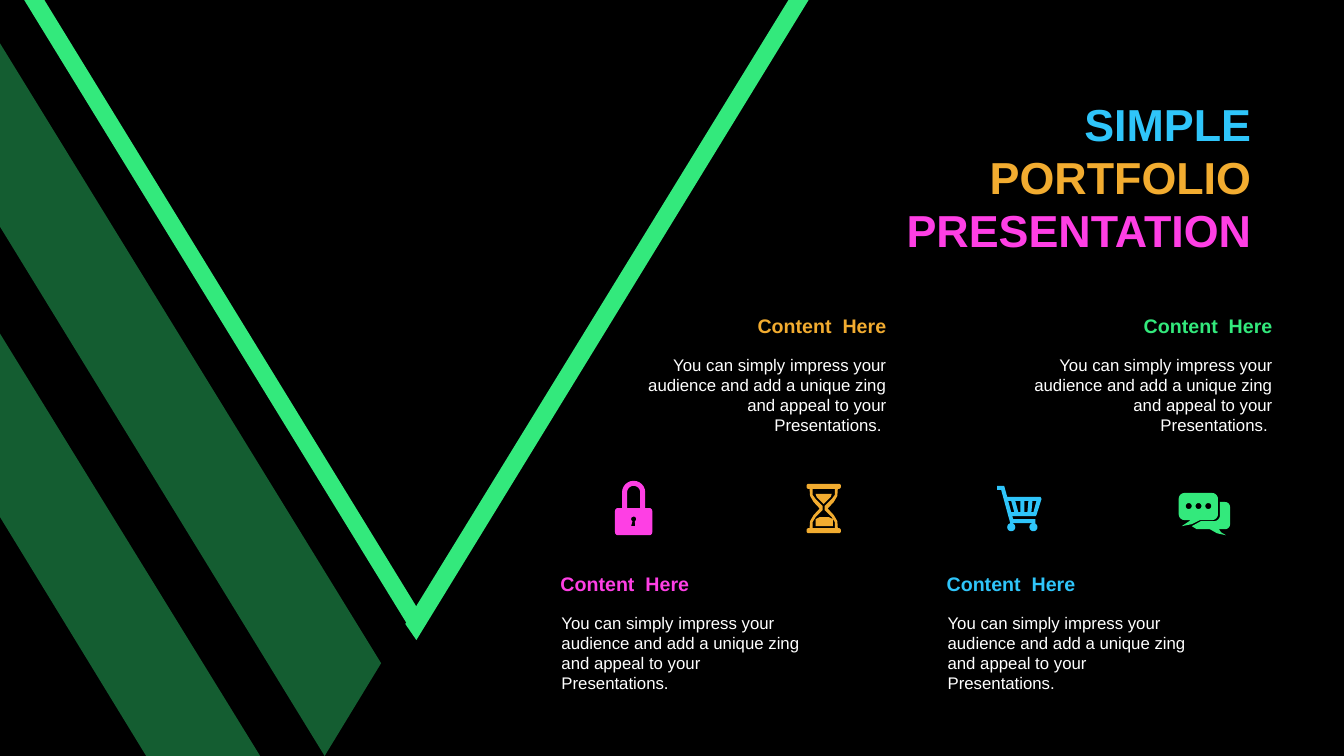
import math

import lxml.etree
import pptx
import pptx.dml.color
import pptx.enum.text
import pptx.oxml.ns
import pptx.util

Inches = pptx.util.Inches
PP_ALIGN = pptx.enum.text.PP_ALIGN
GREEN, BLUE, ORANGE, PINK, WHITE = "33E97C", "2FC5FA", "F2AC30", "FE3FE4", "FFFFFF"
BODY = "You can simply impress your audience and add a unique zing and appeal to your Presentations."


def rgb(color):
    """Turn a hex string into a colour."""
    return pptx.dml.color.RGBColor.from_string(color)


def arc(x, y, r, start, end):
    """List points on an arc; angles in degrees, clockwise from the right."""
    steps = max(4, abs(end - start) // 15)
    angles = [math.radians(start + (end - start) * i / steps) for i in range(steps + 1)]
    return [(x + r * math.cos(a), y + r * math.sin(a)) for a in angles]


def rounded(left, top, width, height, r, tail=()):
    """List points of a rounded rectangle, with an optional tail at its bottom."""
    x1, x2, y1, y2 = left + r, left + width - r, top + r, top + height - r
    return (arc(x1, y1, r, 180, 270) + arc(x2, y1, r, 270, 360)
            + arc(x2, y2, r, 0, 90) + list(tail) + arc(x1, y2, r, 90, 180))


def add_outline(s, contours, color, opacity=100):
    """Draw closed contours as one filled freeform."""
    fb = None
    for contour in contours:
        points = [(Inches(x), Inches(y)) for x, y in contour]
        if fb is None:
            fb = s.shapes.build_freeform(*points[0])
        else:
            fb.move_to(*points[0])
        fb.add_line_segments(points[1:], close=True)
    sp = fb.convert_to_shape()
    sp.shadow.inherit = False
    sp.line.fill.background()
    sp.fill.solid()
    sp.fill.fore_color.rgb = rgb(color)
    if opacity < 100:
        qn = pptx.oxml.ns.qn
        clr = sp._element.spPr.find(".//" + qn("a:srgbClr"))
        lxml.etree.SubElement(clr, qn("a:alpha")).set("val", str(opacity * 1000))


def add_text(shapes, box, text, size, color, align, bold=False, middle=False):
    """Add a wrapped one-paragraph text box and return its frame."""
    tf = shapes.add_textbox(*map(Inches, box)).text_frame
    tf.text = text
    tf.word_wrap = True
    if middle:
        tf.vertical_anchor = pptx.enum.text.MSO_ANCHOR.MIDDLE
    p = tf.paragraphs[0]
    p.alignment = align
    font = p.runs[0].font
    font.name, font.size, font.bold = "Arial", pptx.util.Pt(size), bold
    font.color.rgb = rgb(color)
    return tf


def add_title_line(s, row, text, left, color):
    """Add one right-aligned line of the title."""
    box = (left, 0.97 + 0.525 * row, 12.51 - left, 0.51)
    tf = add_text(s.shapes, box, text, 32, color, PP_ALIGN.RIGHT, True, True)
    tf.margin_left = 0


def add_content(s, left, top, color, align):
    """Add a grouped heading and body text."""
    group = s.shapes.add_group_shape()
    body = BODY + " " if align == PP_ALIGN.RIGHT else BODY
    heading = add_text(group.shapes, (left, top, 2.62, 0.34), "Content  Here", 14,
                       color, align, True, True)
    text = add_text(group.shapes, (left + 0.01, top + 0.405, 2.61, 0.91), body, 12, WHITE, align)
    for tf in (heading, text):
        tf.auto_size = pptx.enum.text.MSO_AUTO_SIZE.SHAPE_TO_FIT_TEXT


def add_bands(s):
    """Draw the bright V and the two dark bands."""
    add_outline(s, [[(7.82, 0), (8.02, 0), (4.13, 6.35), (4.02, 6.19)]], GREEN)
    add_outline(s, [[(0.24, 0), (0.44, 0), (4.18, 6.1), (4.08, 6.26)]], GREEN)
    add_outline(s, [[(0, 3.31), (2.58, 7.5), (1.45, 7.5), (0, 5.13)],
                    [(0, 0.43), (3.78, 6.58), (3.22, 7.5), (0, 2.25)]], GREEN, 40)


def add_lock(s):
    """Draw the padlock icon."""
    x, y = 6.285, 4.885
    shackle = (arc(x, y, 0.115, 180, 360) + [(6.4, 5.04), (6.35, 5.04)]
               + arc(x, y, 0.065, 360, 180) + [(6.22, 5.04), (6.17, 5.04)])
    keyhole = arc(x, 5.15, 0.025, 120, 420) + [(6.3, 5.22), (6.26, 5.22)]
    add_outline(s, [shackle, rounded(6.1, 5.04, 0.37, 0.27, 0.03), keyhole], PINK)


def add_hourglass(s):
    """Draw the hourglass icon."""
    wall = [(8.31, 4.85), (8.305, 4.92), (8.27, 4.98), (8.21, 5.045), (8.27, 5.11),
            (8.305, 5.17), (8.31, 5.24), (8.28, 5.24), (8.28, 5.18), (8.25, 5.13),
            (8.18, 5.06), (8.18, 5.02), (8.25, 4.95), (8.28, 4.91), (8.28, 4.85)]
    mirrored = [(2 * 8.17 - x, y) for x, y in wall]
    upper_sand = [(8.09, 4.9), (8.25, 4.9), (8.24, 4.93), (8.17, 5), (8.1, 4.93)]
    lower_sand = [(8.09, 5.15), (8.13, 5.13), (8.22, 5.13), (8.26, 5.15),
                  (8.26, 5.22), (8.09, 5.22)]
    caps = [rounded(8, top, 0.34, 0.05, 0.02) for top in (4.8, 5.24)]
    add_outline(s, caps + [wall, mirrored, upper_sand, lower_sand], ORANGE)


def add_cart(s):
    """Draw the shopping cart icon."""
    frame = [(9.89, 4.82), (9.96, 4.82), (9.99, 4.93), (10.32, 4.93), (10.33, 4.95),
             (10.28, 5.11), (10.27, 5.12), (10.04, 5.12), (10.05, 5.15), (10.27, 5.15),
             (10.27, 5.19), (10.02, 5.19), (9.93, 4.86), (9.89, 4.86)]
    gaps = [[(a, 4.97), (b, 4.97), (c, 5.08), (d, 5.08)] for a, b, c, d in (
        (10, 10.03, 10.06, 10.03), (10.07, 10.12, 10.12, 10.1),
        (10.16, 10.2, 10.19, 10.16), (10.24, 10.28, 10.25, 10.23))]
    wheels = [arc(x, 5.23, 0.04, 0, 360) for x in (10.03, 10.25)]
    add_outline(s, [frame] + gaps + wheels, BLUE)


def add_chat(s):
    """Draw the speech bubbles icon."""
    tail = [(11.9, 5.16), (11.82, 5.2), (11.72, 5.22), (11.81, 5.16)]
    front = rounded(11.69, 4.89, 0.39, 0.27, 0.06, tail)
    back = ([(12.1, 4.98)] + arc(12.15, 5.03, 0.05, 270, 360) + arc(12.15, 5.2, 0.05, 0, 90)
            + [(12.09, 5.25), (12.11, 5.28), (12.16, 5.31), (12.07, 5.29), (12, 5.25),
               (11.87, 5.25), (11.82, 5.22), (11.91, 5.17)]
            + arc(12.04, 5.11, 0.06, 90, 0))
    dots = [arc(11.79 + 0.097 * i, 5.02, 0.03, 0, 360) for i in range(3)]
    add_outline(s, [front, back] + dots, GREEN)


def main():
    """Build and save the slide."""
    prs = pptx.Presentation()
    prs.slide_width, prs.slide_height = Inches(13.33), Inches(7.5)
    s = prs.slides.add_slide(prs.slide_layouts[6])
    s.background.fill.solid()
    s.background.fill.fore_color.rgb = rgb("000000")
    add_bands(s)
    titles = (("SIMPLE", 10.57, BLUE), ("PORTFOLIO", 9.68, ORANGE), ("PRESENTATION", 8.97, PINK))
    for row, (text, left, color) in enumerate(titles):
        add_title_line(s, row, text, left, color)
    add_content(s, 10.1, 3.06, GREEN, PP_ALIGN.RIGHT)
    add_content(s, 9.29, 5.62, BLUE, PP_ALIGN.LEFT)
    add_content(s, 6.27, 3.06, ORANGE, PP_ALIGN.RIGHT)
    add_content(s, 5.46, 5.62, PINK, PP_ALIGN.LEFT)
    for add_icon in (add_chat, add_hourglass, add_cart, add_lock):
        add_icon(s)
    prs.save("out.pptx")


if __name__ == "__main__":
    main()
